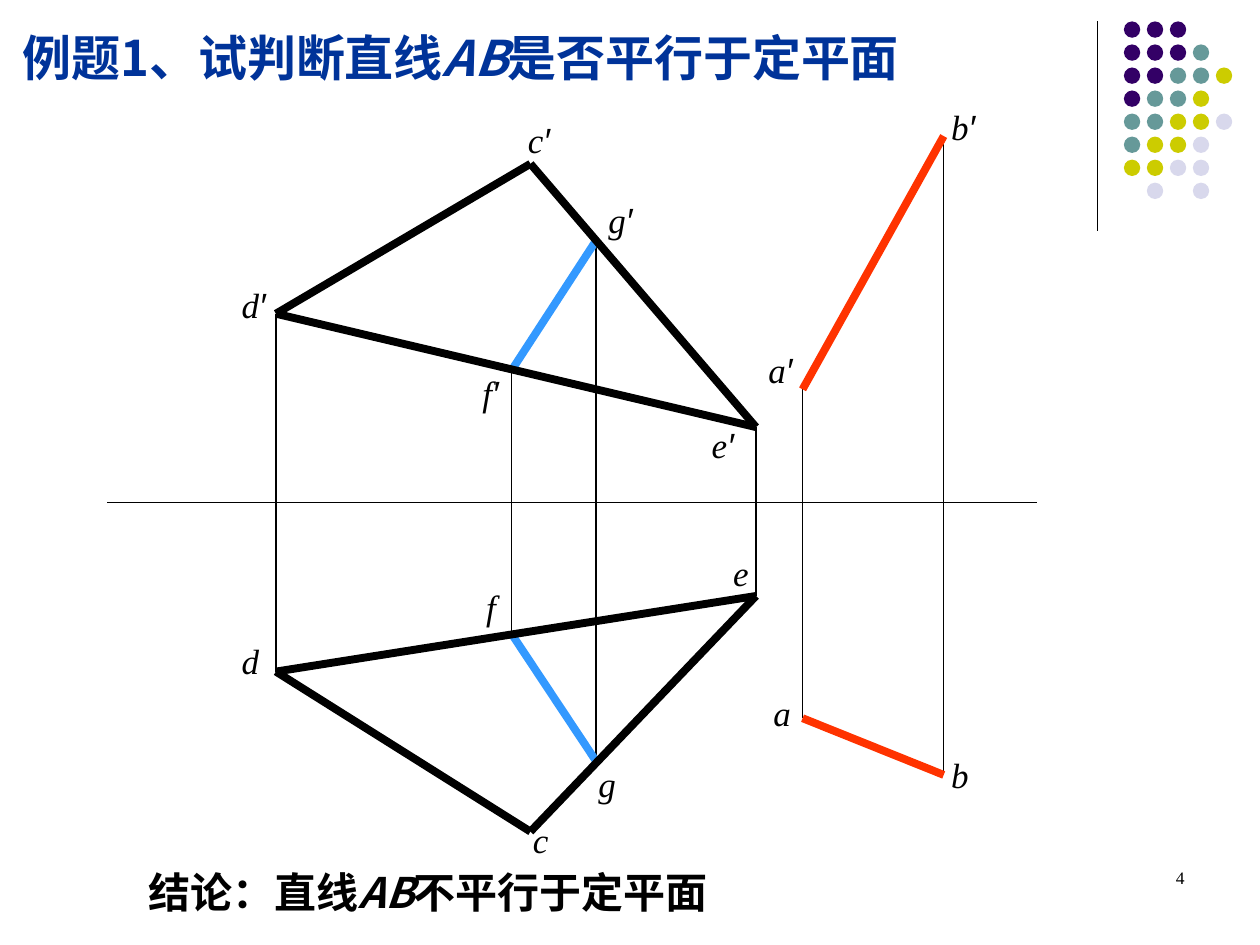
from collections import namedtuple

from lxml import etree
from pptx import Presentation
from pptx import util as u
from pptx.dml.color import RGBColor
from pptx.enum import shapes, text
from pptx.oxml import ns

PX = u.Inches(1) // 100  # one px is a hundredth of an inch

BLACK = RGBColor(0x00, 0x00, 0x00)
TITLE_BLUE = RGBColor(0x00, 0x33, 0x99)
SEGMENT_BLUE = RGBColor(0x33, 0x99, 0xFF)
RED = RGBColor(0xFF, 0x33, 0x00)
DOT_COLORS = {
    "P": RGBColor(0x33, 0x00, 0x66),
    "T": RGBColor(0x66, 0x99, 0x99),
    "Y": RGBColor(0xCC, 0xCC, 0x00),
    "L": RGBColor(0xD8, 0xD8, 0xEC),
}
DOT_ROWS = ["PPP", "PPPT", "PPTTY", "PTTY", "TTYYL", "TYYL", "YYLL", " L L"]

SERIF = "Times New Roman"
SANS = "Arial"
CJK = "Noto Sans CJK SC"
THIN, THICK = 0.75, 4.5

Box = namedtuple("Box", "left top width height")

# Each point has one x, and a y and a label corner in either projection
Vertex = namedtuple("Vertex", "x upper upper_label lower lower_label")
VERTICES = {
    "a": Vertex(552, 230, (515, 193), 491, (519, 465)),
    "b": Vertex(664, 29, (660, 0), 536, (660, 514)),
    "c": Vertex(336, 51, (324, 10), 581, (328, 566)),
    "d": Vertex(134, 170, (97, 141), 454, (97, 424)),
    "e": Vertex(515, 260, (470, 252), 394, (487, 354)),
    "f": Vertex(321, 215, (288, 211), 424, (291, 381)),
    "g": Vertex(388, 112, (388, 74), 525, (380, 521)),
}
AXIS_Y = 320


def add_line(page, start, end, color=BLACK, width=THIN):
    ends = [round(value * PX) for value in (*start, *end)]
    line = page.shapes.add_connector(shapes.MSO_CONNECTOR.STRAIGHT, *ends)
    line.line.color.rgb = color
    line.line.width = u.Pt(width)
    etree.SubElement(line._element.spPr, ns.qn("a:effectLst"))


def add_text(page, box, parts, size, color=BLACK, bold=False,
             align=text.PP_ALIGN.LEFT):
    """Write one paragraph; parts holds (words, font name, italic)."""
    frame = page.shapes.add_textbox(*(value * PX for value in box)).text_frame
    frame.word_wrap = True
    para = frame.paragraphs[0]
    para.alignment = align
    for words, face, italic in parts:
        span = para.add_run()
        span.text = words
        font = span.font
        font.name = face
        font.size = u.Pt(size)
        font.bold = bold
        font.italic = italic
        font.color.rgb = color
        east_asian = etree.SubElement(span._r.get_or_add_rPr(), ns.qn("a:ea"))
        east_asian.set("typeface", face)


def add_dots(page, box, dot=13):
    """Corner ornament: a vertical rule and a grid of dots."""
    rule_x = box.left - 21
    add_line(page, (rule_x, box.top), (rule_x, box.top + 166))
    step_x = (box.width - dot) / 4
    step_y = (box.height - dot) / (len(DOT_ROWS) - 1)
    for row, codes in enumerate(DOT_ROWS):
        for column, code in enumerate(codes):
            if code == " ":
                continue
            left = round((box.left + column * step_x) * PX)
            top = round((box.top + row * step_y) * PX)
            circle = page.shapes.add_shape(
                shapes.MSO_SHAPE.OVAL, left, top, dot * PX, dot * PX)
            circle.shadow.inherit = False
            circle.fill.solid()
            circle.fill.fore_color.rgb = DOT_COLORS[code]
            circle.line.fill.background()


def add_projections(page, box):
    """Triangle CDE, segment FG and line AB above and below the axis."""
    def place(x, y):
        return box.left + x, box.top + y

    def upper(name):
        return place(VERTICES[name].x, VERTICES[name].upper)

    def lower(name):
        return place(VERTICES[name].x, VERTICES[name].lower)

    # Axis and projectors
    add_line(page, place(0, AXIS_Y), place(box.width, AXIS_Y))
    for name in "abdefg":
        add_line(page, upper(name), lower(name))

    # Segments, drawn alike in both projections
    segments = [("fg", SEGMENT_BLUE), ("cd", BLACK), ("de", BLACK),
                ("ec", BLACK), ("ab", RED)]
    for project in (upper, lower):
        for (start, end), color in segments:
            add_line(page, project(start), project(end), color, THICK)

    # Point labels
    for name, vertex in VERTICES.items():
        letter = (name, SERIF, True)
        add_text(page, Box(*place(*vertex.upper_label), 52, 44),
                 [letter, ("′", SANS, True)], 20)
        add_text(page, Box(*place(*vertex.lower_label), 52, 44), [letter], 20)


def add_statement(page, box, before, after, size, color=BLACK):
    """Bold sentence about line AB."""
    parts = [(before, CJK, False), ("AB", CJK, True), (after, CJK, False)]
    add_text(page, box, parts, size, color, bold=True)


def add_page_number(page, box, number):
    add_text(page, box, [(number, SERIF, False)], 10,
             align=text.PP_ALIGN.RIGHT)


def main():
    deck = Presentation()
    deck.slide_width = 1000 * PX
    deck.slide_height = 750 * PX
    page = deck.slides.add_slide(deck.slide_layouts[6])

    add_dots(page, Box(892, 17, 86, 141))
    add_projections(page, Box(85, 79, 738, 610))
    add_statement(page, Box(108, 683, 615, 50),
                  "结论：直线", "不平行于定平面", 24)
    add_statement(page, Box(8, 17, 749, 57),
                  "例题1、试判断直线", "是否平行于定平面", 28, TITLE_BLUE)
    add_page_number(page, Box(717, 683, 233, 50), "4")

    deck.save("out.pptx")


if __name__ == "__main__":
    main()
